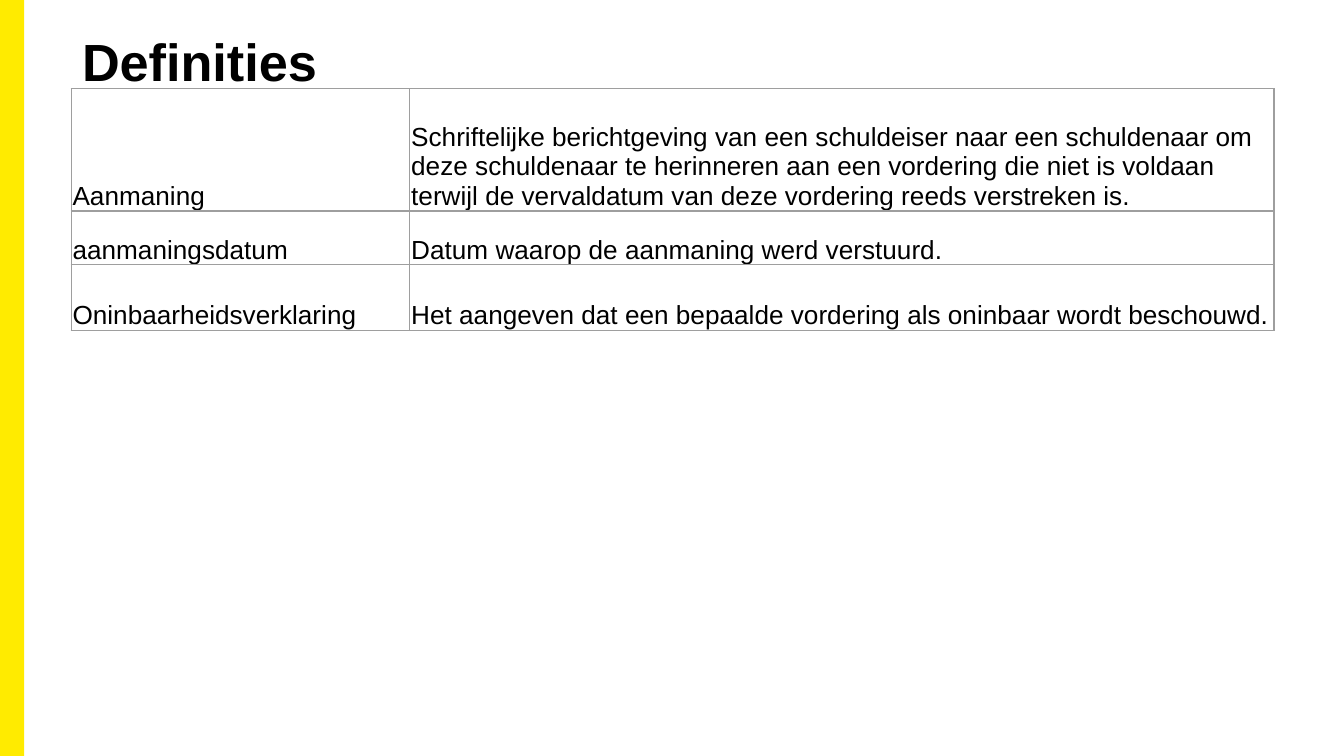
from pptx import Presentation
from pptx.dml.color import RGBColor
from pptx.enum.shapes import MSO_SHAPE
from pptx.enum.text import MSO_ANCHOR, PP_ALIGN
from pptx.oxml import parse_xml
from pptx.oxml.ns import nsdecls
from pptx.util import Inches, Pt

YELLOW = RGBColor(0xFF, 0xEB, 0x00)
BLACK = RGBColor(0, 0, 0)
GREY = RGBColor(0x9E, 0x9E, 0x9E)
FONT = "Arial"
SLIDE_WIDTH = Inches(10)
SLIDE_HEIGHT = SLIDE_WIDTH * 9 // 16
COLUMN_WIDTHS = (2.52, 6.43)
ROW_HEIGHTS = (0.91, 0.4, 0.49)
DEFINITIONS = (
    ("Aanmaning",
     "Schriftelijke berichtgeving van een schuldeiser naar een schuldenaar om "
     "deze schuldenaar te herinneren aan een vordering die niet is voldaan "
     "terwijl de vervaldatum van deze vordering reeds verstreken is."),
    ("aanmaningsdatum", "Datum waarop de aanmaning werd verstuurd. "),
    ("Oninbaarheidsverklaring",
     "Het aangeven dat een bepaalde vordering als oninbaar wordt beschouwd."),
)


def format_paragraph(paragraph, size, bold=False):
    """Set the font and left alignment of a paragraph."""
    paragraph.alignment = PP_ALIGN.LEFT
    paragraph.font.name = FONT
    paragraph.font.size = Pt(size)
    paragraph.font.bold = bold
    paragraph.font.color.rgb = BLACK


def add_side_bar(slide):
    """Add the yellow bar along the left edge."""
    bar = slide.shapes.add_shape(
        MSO_SHAPE.RECTANGLE, 0, 0, Inches(0.18), SLIDE_HEIGHT)
    bar.shadow.inherit = False
    bar.fill.solid()
    bar.fill.fore_color.rgb = YELLOW
    bar.line.fill.background()


def set_title(slide, text):
    """Place and format the title placeholder."""
    title = slide.shapes.title
    title.left, title.top = Inches(0.54), Inches(0.19)
    title.width, title.height = Inches(8.62), Inches(0.58)
    frame = title.text_frame
    frame.text = text
    frame.vertical_anchor = MSO_ANCHOR.MIDDLE
    frame.margin_left = frame.margin_right = Inches(0.07)
    frame.margin_top = frame.margin_bottom = Inches(0.04)
    paragraph = frame.paragraphs[0]
    paragraph.line_spacing = 0.9
    format_paragraph(paragraph, 28, bold=True)


def add_borders(cell):
    """Draw a thin grey line on every side of a cell."""
    properties = cell._tc.get_or_add_tcPr()
    for position, side in enumerate(("lnL", "lnR", "lnT", "lnB")):
        properties.insert(position, parse_xml(
            f'<a:{side} {nsdecls("a")} w="{Pt(0.75)}"><a:solidFill>'
            f'<a:srgbClr val="{GREY}"/></a:solidFill></a:{side}>'))


def fill_cell(cell, text):
    """Write and format one table cell."""
    cell.text = text
    cell.fill.background()
    cell.vertical_anchor = MSO_ANCHOR.BOTTOM
    cell.margin_left = cell.margin_right = cell.margin_top = Inches(0.01)
    cell.margin_bottom = 0
    format_paragraph(cell.text_frame.paragraphs[0], 14)
    add_borders(cell)


def add_definitions_table(slide):
    """Add the table of terms and their definitions."""
    table = slide.shapes.add_table(
        len(ROW_HEIGHTS), len(COLUMN_WIDTHS), Inches(0.53), Inches(0.66),
        Inches(sum(COLUMN_WIDTHS)), Inches(sum(ROW_HEIGHTS))).table
    table.first_row = table.horz_banding = False
    for column, width in zip(table.columns, COLUMN_WIDTHS):
        column.width = Inches(width)
    for row, height, texts in zip(table.rows, ROW_HEIGHTS, DEFINITIONS):
        row.height = Inches(height)
        for cell, text in zip(row.cells, texts):
            fill_cell(cell, text)


def main():
    """Build and save the presentation."""
    presentation = Presentation()
    presentation.slide_width = SLIDE_WIDTH
    presentation.slide_height = SLIDE_HEIGHT
    slide = presentation.slides.add_slide(presentation.slide_layouts[5])
    add_side_bar(slide)
    set_title(slide, "Definities")
    add_definitions_table(slide)
    presentation.save("out.pptx")


if __name__ == "__main__":
    main()
